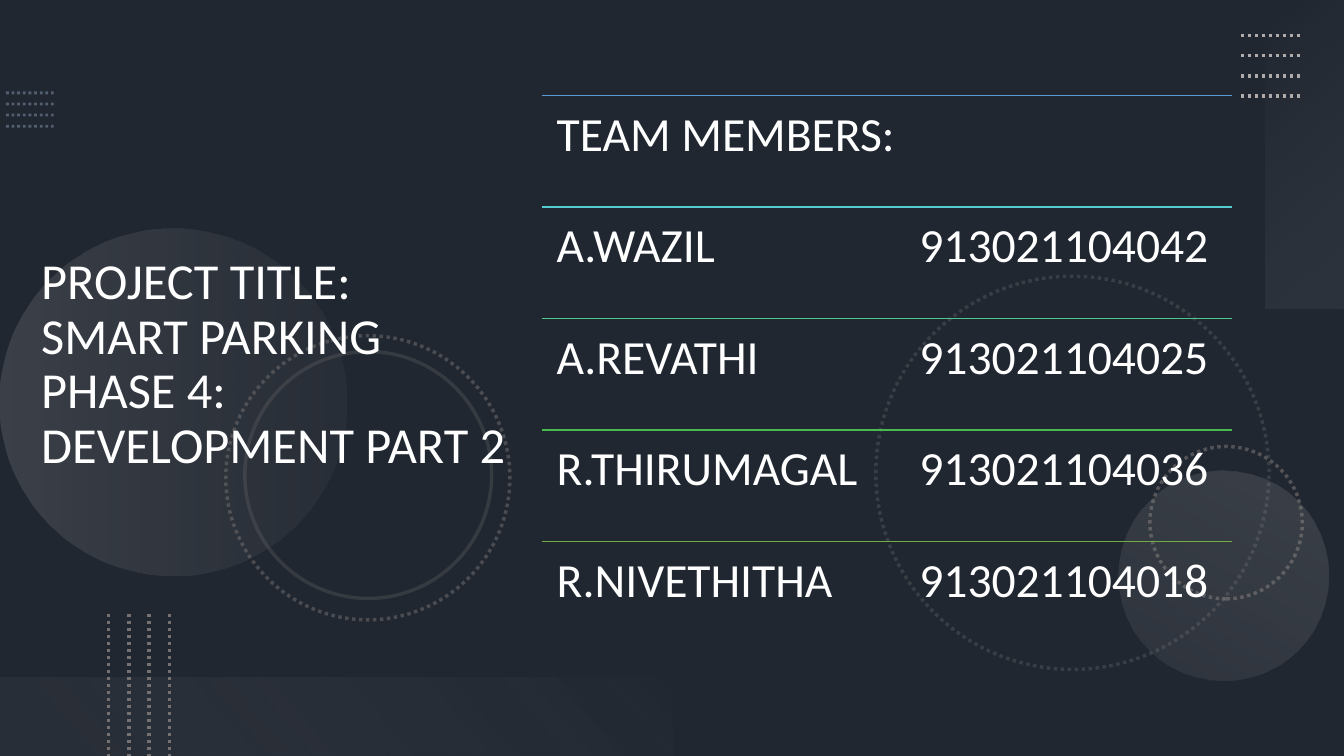
from lxml import etree
from pptx import Presentation
from pptx import util as u
from pptx.dml.color import RGBColor
from pptx.enum import dml, shapes, text
from pptx.oxml import ns

WIDE, HIGH = 33.87, 19.05
OVAL, RECT = shapes.MSO_SHAPE.OVAL, shapes.MSO_SHAPE.RECTANGLE
DOT = dml.MSO_LINE.ROUND_DOT


def tint(code):
    return RGBColor.from_string(code)


def fade(node, share):
    """Set the opacity, in percent, of every colour under node."""
    for clr in node.xpath(".//a:srgbClr"):
        etree.SubElement(clr, ns.qn("a:alpha")).set("val", str(share * 1000))


class Board:
    font, ink = "Calibri", "FFFFFF"

    def __init__(self, deck):
        self.slide = deck.slides.add_slide(deck.slide_layouts[6])

    def back(self, code):
        fill = self.slide.background.fill
        fill.solid()
        fill.fore_color.rgb = tint(code)

    def pen(self, item, code, width, dash=None, share=100):
        """Style the line of a shape or connector."""
        item.line.color.rgb = tint(code)
        item.line.width = u.Pt(width)
        if dash:
            item.line.dash_style = dash
        if share < 100:
            fade(item.line.fill._xPr, share)

    def rule(self, x1, y1, x2, y2, *style):
        line = self.slide.shapes.add_connector(
            shapes.MSO_CONNECTOR.STRAIGHT, *map(u.Cm, (x1, y1, x2, y2)))
        self.pen(line, *style)
        etree.SubElement(line.element.spPr, ns.qn("a:effectLst"))

    def shape(self, kind, box, turn=0):
        item = self.slide.shapes.add_shape(kind, *map(u.Cm, box))
        item.rotation = turn
        item.shadow.inherit = False
        item.fill.background()
        item.line.fill.background()
        return item

    def veil(self, code, share):
        """Cover the whole slide with a see-through colour."""
        item = self.shape(RECT, (0, 0, WIDE, HIGH))
        item.fill.solid()
        item.fill.fore_color.rgb = tint(code)
        fade(item.element.spPr, share)

    def ring(self, x, y, size, turn, dash, share):
        item = self.shape(OVAL, (x, y, size, size), turn)
        self.pen(item, "767171", 2.5, dash, share)

    def glow(self, kind, box, turn, angle, *stops):
        """Add a shape with a gradient of (place, colour, opacity) stops."""
        item = self.shape(kind, box, turn)
        item.fill.gradient()
        item.fill.gradient_angle = 360 - angle
        for stop, (place, code, share) in zip(item.fill.gradient_stops, stops):
            stop.position = place
            stop.color.rgb = tint(code)
            fade(stop._gs, share)

    def words(self, box, words, size, inset=None, anchor=None, tab=None):
        frame = self.slide.shapes.add_textbox(*map(u.Cm, box)).text_frame
        frame.word_wrap = True
        frame.vertical_anchor = anchor or text.MSO_ANCHOR.TOP
        if inset:
            frame.margin_left = frame.margin_right = u.Cm(inset)
            frame.margin_top = frame.margin_bottom = u.Cm(inset)
        frame.text = words
        for para in frame.paragraphs:
            para.line_spacing = 0.9
            if tab:
                stops = etree.SubElement(para._p.get_or_add_pPr(), ns.qn("a:tabLst"))
                etree.SubElement(stops, ns.qn("a:tab"), pos=str(u.Cm(tab)), algn="l")
            for run in para.runs:
                run.font.name, run.font.size = self.font, u.Pt(size)
                run.font.color.rgb = tint(self.ink)


def main():
    deck = Presentation()
    deck.slide_width, deck.slide_height = u.Cm(WIDE), u.Cm(HIGH)
    board = Board(deck)
    board.back("44546A")
    board.veil("000000", 53)

    for row in range(4):
        y = 2.34 + 0.28 * row
        board.rule(0.15, y, 1.35, y, "8497B0", 2, DOT, 50)

    board.ring(22.07, 6.96, 9.91, 75, DOT, 30)
    board.ring(28.98, 11.25, 3.84, 270, DOT, 60)
    board.glow(OVAL, (0, 5.77, 8.74, 8.74), 270, 90,
               (0, "AFABAB", 20), (1, "767171", 10))
    board.glow(OVAL, (28.19, 11.86, 5.28, 5.28), 210, 90,
               (0, "AFABAB", 10), (1, "AFABAB", 20))
    board.ring(5.69, 8.46, 7.16, 75, DOT, 50)
    board.ring(6.17, 8.86, 6.22, 75, None, 25)

    board.glow(RECT, (29.01, 2.9, 7.77, 1.98), 270, 140,
               (0, "F5F5F5", 0), (1, "AFABAB", 10))
    board.glow(RECT, (0, 17.07, 16.94, 1.98), 180, 140,
               (0.1, "767171", 10), (1, "F1F0F0", 0))
    for step in range(4):
        x, y = 2.74 + 0.51 * step, 0.89 + 0.51 * step
        board.rule(31.27, y, 32.79, y, "AFABAB", 2.5, DOT)
        board.rule(x, 15.47, x, HIGH, "767171", 2.5, DOT)

    board.words((0.79, 1.37, 12.62, 15.67),
                "PROJECT TITLE:\nSMART PARKING\nPHASE 4:\nDEVELOPMENT PART 2",
                36, anchor=text.MSO_ANCHOR.MIDDLE)

    team = [
        ("TEAM MEMBERS:", "5B9BD5"),
        ("A.WAZIL\t913021104042", "54CCCD"),
        ("A.REVATHI\t913021104025", "4DC58D"),
        ("R.THIRUMAGAL\t913021104036", "48BB4F"),
        ("R.NIVETHITHA\t913021104018", "70AD47"),
    ]
    left, top, width, pitch = 13.67, 2.41, 17.37, 2.81
    for row, (entry, code) in enumerate(team):
        y = top + pitch * row
        board.rule(left, y, left + width, y, code, 1)
        board.words((left, y, width, pitch), entry, 34, inset=0.36, tab=9.14)

    deck.save("out.pptx")


if __name__ == "__main__":
    main()
